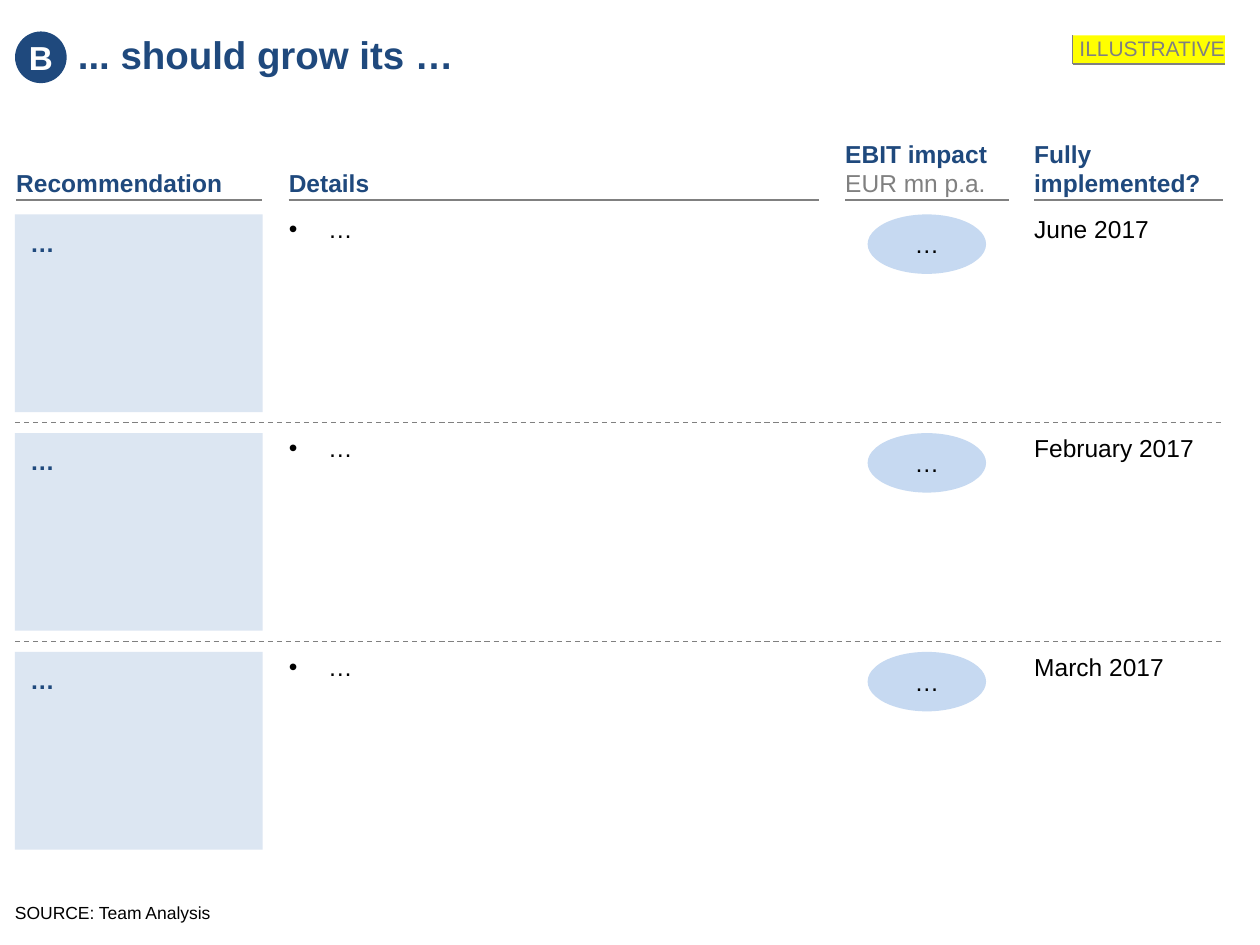
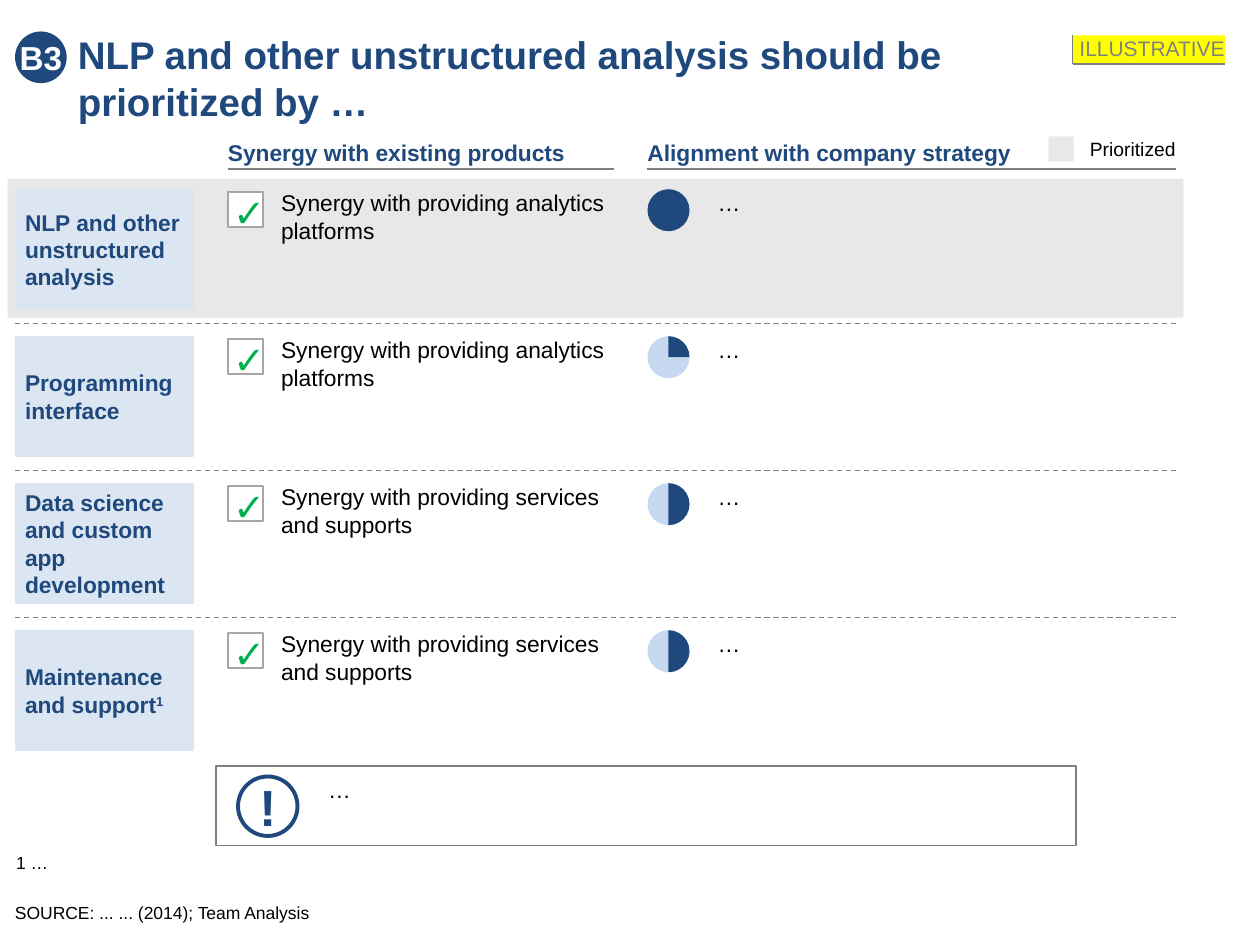
from dataclasses import dataclass

from lxml.etree import SubElement
from pptx import Presentation
from pptx.dml.color import RGBColor
from pptx.enum.dml import MSO_LINE
from pptx.enum.shapes import MSO_CONNECTOR, MSO_SHAPE
from pptx.enum.text import MSO_ANCHOR, PP_ALIGN
from pptx.oxml.ns import qn
from pptx.util import Pt

NAVY, GREY, BLACK, WHITE = "1F497D", "808080", "000000", "FFFFFF"
PALE_BLUE, LIGHT_BLUE, LIGHT_GREY = "DCE6F2", "C6D9F1", "E8E8E8"
YELLOW, GREEN, BOX_GREY = "FFFF00", "00B050", "A6A6A6"
FONT = "Arial"
LINE_HEIGHT = 1.2
LEFT = 8.6
ARC_TOP = 162  # twelve o'clock, as an arc adjustment
QUARTER, HALF, FULL = 0, 54, ARC_TOP


@dataclass(frozen=True)
class Style:
    size: float
    color: str = BLACK
    bold: bool = False


@dataclass(frozen=True)
class Area:
    left: float
    top: float
    width: float
    height: float

    def lengths(self) -> tuple:
        return Pt(self.left), Pt(self.top), Pt(self.width), Pt(self.height)


@dataclass(frozen=True)
class Column:
    left: float
    width: float
    lines: tuple


@dataclass(frozen=True)
class Recommendation:
    label: str
    detail: str
    impact: str
    date: str


@dataclass(frozen=True)
class Option:
    label: str
    synergy: str
    alignment: str
    arc_end: float
    note_mark: str = ""


HEADING = Style(14, NAVY, True)
BODY = Style(14)
SMALL_HEADING = Style(13, NAVY, True)
SMALL_BODY = Style(13)
FOOTER = Style(10)

PLAN_COLUMNS = (
    Column(9.3, 140.7, (("Recommendation", HEADING),)),
    Column(165, 303, (("Details", HEADING),)),
    Column(483, 93.5, (("EBIT impact", HEADING), ("EUR mn p.a.", Style(14, GREY)))),
    Column(591, 108, (("Fully implemented?", HEADING),)),
)
RECOMMENDATIONS = (
    Recommendation("…", "…", "…", "June 2017"),
    Recommendation("…", "…", "…", "February 2017"),
    Recommendation("…", "…", "…", "March 2017"),
)
OPTION_COLUMNS = (
    Column(130.3, 220.3, (("Synergy with existing products", SMALL_HEADING),)),
    Column(370, 302, (("Alignment with company strategy", SMALL_HEADING),)),
)
PLATFORMS = "Synergy with providing analytics platforms"
SERVICES = "Synergy with providing services and supports"
OPTIONS = (
    Option("NLP and other unstructured analysis", PLATFORMS, "…", FULL),
    Option("Programming interface", PLATFORMS, "…", QUARTER),
    Option("Data science and custom app development", SERVICES, "…", HALF),
    Option("Maintenance and support", SERVICES, "…", HALF, "1"),
)


def rgb(color: str) -> RGBColor:
    return RGBColor.from_string(color)


def write(shape, lines, align=PP_ALIGN.LEFT, anchor=MSO_ANCHOR.TOP,
          margins=(0, 0, 0, 0), wrap=True):
    """Fill a shape with (text, style) lines; margins run left, top, right, bottom."""
    frame = shape.text_frame
    frame.word_wrap = wrap
    frame.vertical_anchor = anchor
    (frame.margin_left, frame.margin_top,
     frame.margin_right, frame.margin_bottom) = map(Pt, margins)
    for index, (text, style) in enumerate(lines):
        para = frame.add_paragraph() if index else frame.paragraphs[0]
        para.text = text
        para.alignment = align
        para.line_spacing = Pt(style.size * LINE_HEIGHT)
        para.font.name = FONT
        para.font.size = Pt(style.size)
        para.font.bold = style.bold
        para.font.color.rgb = rgb(style.color)
    return frame.paragraphs[-1]


def add_text(page, area: Area, text: str, style: Style, **layout):
    box = page.shapes.add_textbox(*area.lengths())
    return write(box, [(text, style)], **layout)


def add_shape(page, kind, area: Area, fill: str, line: str = "", weight: float = 1):
    shape = page.shapes.add_shape(kind, *area.lengths())
    shape.shadow.inherit = False
    shape.fill.solid()
    shape.fill.fore_color.rgb = rgb(fill)
    if line:
        shape.line.color.rgb = rgb(line)
        shape.line.width = Pt(weight)
    else:
        shape.line.fill.background()
    return shape


def add_line(page, start: tuple, end: tuple, weight: float = 0.75, dashed: bool = False):
    line = page.shapes.add_connector(MSO_CONNECTOR.STRAIGHT, *map(Pt, start + end))
    line.line.color.rgb = rgb(GREY)
    line.line.width = Pt(weight)
    if dashed:
        line.line.dash_style = MSO_LINE.DASH
    SubElement(line._element.spPr, qn("a:effectLst"))


def set_indent(para, left: float, first: float = 0, bullet: str = ""):
    properties = para._p.get_or_add_pPr()
    properties.set("marL", str(Pt(left)))
    properties.set("indent", str(Pt(first)))
    if bullet:
        SubElement(properties, qn("a:buFont")).set("typeface", FONT)
        SubElement(properties, qn("a:buChar")).set("char", bullet)
        defaults = properties.find(qn("a:defRPr"))
        if defaults is not None:
            properties.append(defaults)


def add_frame(deck, marker: str, title: str, source: str):
    """Add a page with its title, round marker, sticker and source line."""
    page = deck.slides.add_slide(deck.slide_layouts[6])
    return page, lambda: draw_frame(page, marker, title, source)


def draw_frame(page, marker: str, title: str, source: str):
    para = add_text(page, Area(9.2, 18, 586, 53), title, Style(22, NAVY, True))
    set_indent(para, 35.3)
    circle = add_shape(page, MSO_SHAPE.OVAL, Area(LEFT, 18, 29.5, 29.5), NAVY)
    write(circle, [(marker, Style(19, WHITE, True))], PP_ALIGN.CENTER,
          MSO_ANCHOR.MIDDLE, wrap=False)
    add_text(page, Area(LEFT, 515.5, 471, 12.2), source, FOOTER)
    sticker = add_shape(page, MSO_SHAPE.RECTANGLE, Area(613, 20.2, 87, 16.4), YELLOW)
    write(sticker, [("ILLUSTRATIVE", Style(12, GREY))], PP_ALIGN.RIGHT)
    add_line(page, (700, 36.6), (613, 36.6), 1.5)
    add_line(page, (613, 20.2), (613, 36.6))


def add_headers(page, columns, bottom: float):
    for column in columns:
        height = 17.5 * len(column.lines) + 18
        box = page.shapes.add_textbox(
            *Area(column.left, bottom - height, column.width, height).lengths())
        write(box, column.lines, anchor=MSO_ANCHOR.BOTTOM, margins=(0, 0, 0, 1.4))
        add_line(page, (column.left, bottom), (column.left + column.width, bottom))


def add_recommendation(page, row: Recommendation, top: float):
    _, details, impact, date = PLAN_COLUMNS
    label = add_shape(page, MSO_SHAPE.RECTANGLE, Area(LEFT, top, 141.5, 113), PALE_BLUE)
    write(label, [(row.label, HEADING)], margins=(8.7, 7.5, 4, 0))
    para = add_text(page, Area(details.left, top, details.width, 17), row.detail, BODY)
    set_indent(para, 22.5, -22.5, "•")
    oval = add_shape(page, MSO_SHAPE.OVAL, Area(impact.left + 12.8, top, 67.7, 34), LIGHT_BLUE)
    write(oval, [(row.impact, BODY)], PP_ALIGN.CENTER, MSO_ANCHOR.MIDDLE)
    add_text(page, Area(date.left, top, 103, 17), row.date, BODY)


def add_option(page, row: Option, top: float):
    synergy, alignment = OPTION_COLUMNS
    label = add_shape(page, MSO_SHAPE.RECTANGLE, Area(LEFT, top, 102.2, 69), PALE_BLUE)
    para = write(label, [(row.label, SMALL_HEADING)], anchor=MSO_ANCHOR.MIDDLE,
                 margins=(5.7, 5.7, 5.7, 5.7))
    if row.note_mark:
        span = para.add_run()
        span.text = row.note_mark
        span.font._element.set("baseline", "30000")
    add_shape(page, MSO_SHAPE.RECTANGLE, Area(synergy.left, top + 1.8, 20, 20), WHITE, BOX_GREY)
    add_text(page, Area(synergy.left + 2.9, top, 14.4, 26.6), "✓", Style(22, GREEN),
             align=PP_ALIGN.CENTER, anchor=MSO_ANCHOR.MIDDLE, wrap=False)
    add_text(page, Area(synergy.left + 30.3, top, 190, 33), row.synergy, SMALL_BODY)
    dial = Area(alignment.left, top, 24, 24)
    add_shape(page, MSO_SHAPE.OVAL, dial, LIGHT_BLUE)
    arc = add_shape(page, MSO_SHAPE.ARC, dial, NAVY)
    arc.adjustments[0] = ARC_TOP
    arc.adjustments[1] = row.arc_end
    add_text(page, Area(alignment.left + 40, top, 262, 17), row.alignment, SMALL_BODY)


def add_rows(page, rows, draw_row, top: float, pitch: float, right: float, gap: float):
    """Draw rows at an equal pitch, with a dashed rule above all but the first."""
    for index, row in enumerate(rows):
        row_top = top + index * pitch
        draw_row(page, row, row_top)
        if index:
            add_line(page, (LEFT, row_top - gap), (right, row_top - gap), dashed=True)


def build_plan(deck):
    page, draw_common = add_frame(deck, "B", "... should grow its …", "SOURCE: Team Analysis")
    draw_common()
    add_headers(page, PLAN_COLUMNS, 114.3)
    add_rows(page, RECOMMENDATIONS, add_recommendation, 122.5, 125, 699, 6)


def build_options(deck):
    page, draw_common = add_frame(
        deck, "B3", "NLP and other unstructured analysis should be prioritized by …",
        "SOURCE: ... ... (2014); Team Analysis")
    add_shape(page, MSO_SHAPE.RECTANGLE, Area(4.4, 102.3, 671.8, 79.2), LIGHT_GREY)
    draw_common()
    add_headers(page, OPTION_COLUMNS, 96.6)
    add_rows(page, OPTIONS, add_option, 108.1, 84, 672, 7.4)

    add_shape(page, MSO_SHAPE.RECTANGLE, Area(123.3, 437.8, 491.8, 45.4), WHITE, GREY)
    add_text(page, Area(187.5, 443.5, 408, 17), "…", SMALL_BODY)
    alert = add_shape(page, MSO_SHAPE.OVAL, Area(136, 443.7, 34, 34), WHITE, NAVY, 2.25)
    write(alert, [("!", Style(29, NAVY, True))], PP_ALIGN.CENTER, MSO_ANCHOR.MIDDLE, wrap=False)

    add_text(page, Area(9.2, 486.8, 673, 12.2), "1 …", FOOTER)
    add_shape(page, MSO_SHAPE.RECTANGLE, Area(599.3, 78, 14.3, 14.3), LIGHT_GREY)
    add_text(page, Area(622.8, 78.5, 57, 13.7), "Prioritized", Style(11))


def main():
    deck = Presentation()
    deck.slide_width, deck.slide_height = Pt(720), Pt(540)
    build_plan(deck)
    build_options(deck)
    deck.save("out.pptx")


if __name__ == "__main__":
    main()
